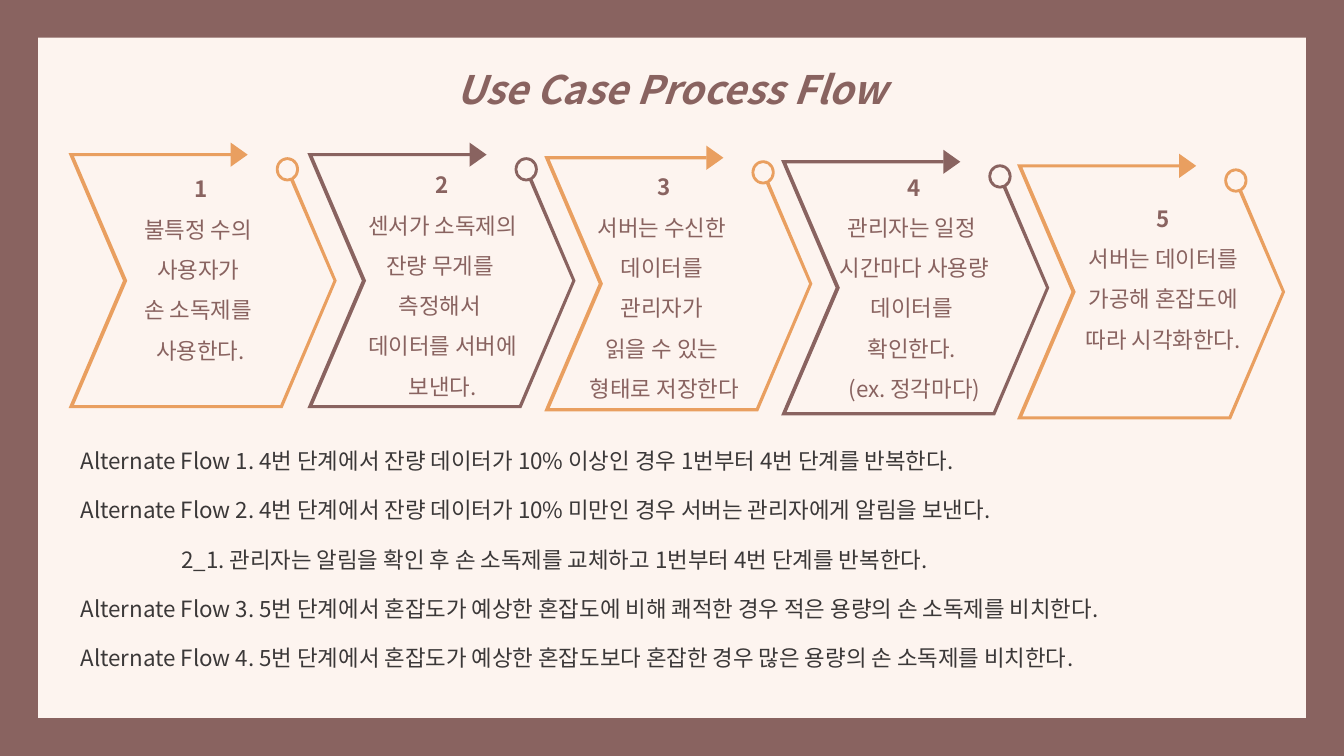
from lxml.etree import SubElement
from pptx import Presentation
from pptx.dml.color import RGBColor
from pptx.enum.shapes import MSO_SHAPE as Preset
from pptx.enum.text import MSO_ANCHOR as Anchor, MSO_AUTO_SIZE as AutoSize, PP_ALIGN as Align
from pptx.oxml.ns import qn
from pptx.util import Pt

BROWN = RGBColor(0x89, 0x63, 0x60)
ORANGE = RGBColor(0xE9, 0x9F, 0x60)
CREAM = RGBColor(0xFD, 0xF4, 0xEF)
DARK = RGBColor(0x3B, 0x38, 0x38)
FONT = "Noto Sans CJK KR"

# Open chevron, in points from its top left corner
CHEVRON = [(0, 0), (116, 0), (116, 2.2), (3.8, 2.2), (41.9, 91.1), (3.8, 180),
           (151.2, 180), (189.2, 91.1), (157.7, 18), (160.5, 18), (191.5, 91.1),
           (152.8, 182.2), (0, 182.2), (38.9, 91.1)]

# Each step: chevron left and top, colour, text box (left, top, width, height), lines
STEPS = [
    (49, 109.4, ORANGE, (81.4, 112.3, 123.8, 149),
     ["1", "불특정 수의 ", "사용자가 ", "손 소독제를 ", "사용한다."]),
    (219.6, 109.4, BROWN, (244.8, 109.4, 142.6, 236),
     ["2", "센서가 소독제의 잔량 무게를 ", "측정해서 ", "데이터를 서버에 보낸다."]),
    (388.8, 111.6, ORANGE, (403.2, 110.9, 142.6, 236),
     ["3", "서버는 수신한 ", "데이터를 ", "관리자가 ", "읽을 수 있는 ", "형태로 저장한다"]),
    (558, 114.5, BROWN, (581.8, 110.9, 142.6, 207),
     ["4", "관리자는 일정 ", "시간마다 사용량 데이터를 ", "확인한다. ", "(ex. 정각마다)"]),
    (726.5, 117.4, ORANGE, (759.6, 133.2, 142.6, 149),
     ["5", "서버는 데이터를 가공해 혼잡도에 따라 시각화한다."]),
]

ALTERNATE_FLOWS = [
    "Alternate Flow 1. 4번 단계에서 잔량 데이터가 10% 이상인 경우 1번부터 4번 단계를 반복한다.",
    "Alternate Flow 2. 4번 단계에서 잔량 데이터가 10% 미만인 경우 서버는 관리자에게 알림을 보낸다.",
    "\t2_1. 관리자는 알림을 확인 후 손 소독제를 교체하고 1번부터 4번 단계를 반복한다.",
    "Alternate Flow 3. 5번 단계에서 혼잡도가 예상한 혼잡도에 비해 쾌적한 경우 적은 용량의 손 소독제를 비치한다.",
    "Alternate Flow 4. 5번 단계에서 혼잡도가 예상한 혼잡도보다 혼잡한 경우 많은 용량의 손 소독제를 비치한다.",
]


class FlowSlide:
    def __init__(self, deck):
        self.page = deck.slides.add_slide(deck.slide_layouts[5])
        fill = self.page.background.fill
        fill.solid()
        fill.fore_color.rgb = CREAM

    def paint(self, shape, color):
        shape.shadow.inherit = False
        shape.fill.solid()
        shape.fill.fore_color.rgb = color
        shape.line.fill.background()

    def preset(self, shapes, kind, area, color, adjust=None):
        shape = shapes.add_shape(kind, *map(Pt, area))
        self.paint(shape, color)
        if adjust is not None:
            shape.adjustments[0] = adjust
        return shape

    def set_lines(self, frame, lines, size, color, align=Align.LEFT, spacing=None, gap=None):
        frame.word_wrap = True
        frame.auto_size = AutoSize.SHAPE_TO_FIT_TEXT
        frame.vertical_anchor = Anchor.TOP
        frame.text = "\n".join(lines)
        for index, para in enumerate(frame.paragraphs):
            para.alignment = align
            para.line_spacing = spacing
            if gap and index:
                para.space_before = Pt(gap)
            if para.text.startswith("\t"):
                tabs = SubElement(para._p.get_or_add_pPr(), qn("a:tabLst"))
                SubElement(tabs, qn("a:tab"), pos=str(Pt(72)), algn="l")
            for span in para.runs:
                span.font.name = FONT
                span.font.size = Pt(size)
                span.font.color.rgb = color
                SubElement(span._r.get_or_add_rPr(), qn("a:ea"), typeface=FONT)

    def title(self, text, area):
        box = self.page.shapes.title
        box.left, box.top, box.width, box.height = map(Pt, area)
        self.set_lines(box.text_frame, [text], 28, BROWN, Align.CENTER, 1.5)
        font = box.text_frame.paragraphs[0].runs[0].font
        font.bold = font.italic = True

    def text(self, area, lines, color, **layout):
        box = self.page.shapes.add_textbox(*map(Pt, area))
        self.set_lines(box.text_frame, lines, 16, color, **layout)
        return box.text_frame

    def chevron(self, left, top, color):
        shapes = self.page.shapes.add_group_shape().shapes
        points = [(Pt(left + x), Pt(top + y)) for x, y in CHEVRON]
        builder = shapes.build_freeform(*points[0])
        builder.add_line_segments(points[1:], close=True)
        self.paint(builder.convert_to_shape(), color)
        arrowhead = self.preset(shapes, Preset.ISOSCELES_TRIANGLE,
                                (left + 113.2, top - 5, 17.3, 12.2), color)
        arrowhead.rotation = 90
        self.preset(shapes, Preset.DONUT, (left + 148, top + 2.9, 16.6, 17.3), color, 0.117)

    def step(self, left, top, color, area, lines):
        self.chevron(left, top, color)
        frame = self.text(area, lines, BROWN, align=Align.CENTER, spacing=1.5)
        frame.paragraphs[0].runs[0].font.bold = True


def main():
    deck = Presentation()
    deck.slide_width, deck.slide_height = Pt(960), Pt(540)
    flow = FlowSlide(deck)

    # Border and title
    flow.preset(flow.page.shapes, Preset.FRAME, (0, 0, 960, 540), BROWN, 0.05)
    flow.title("Use Case Process Flow", (269.3, 25.9, 420.5, 51.8))

    # Process steps
    for step in STEPS:
        flow.step(*step)

    # Alternate flows
    flow.text((50.4, 316, 869, 168.5), ALTERNATE_FLOWS, DARK, gap=16)
    deck.save("out.pptx")


if __name__ == "__main__":
    main()
